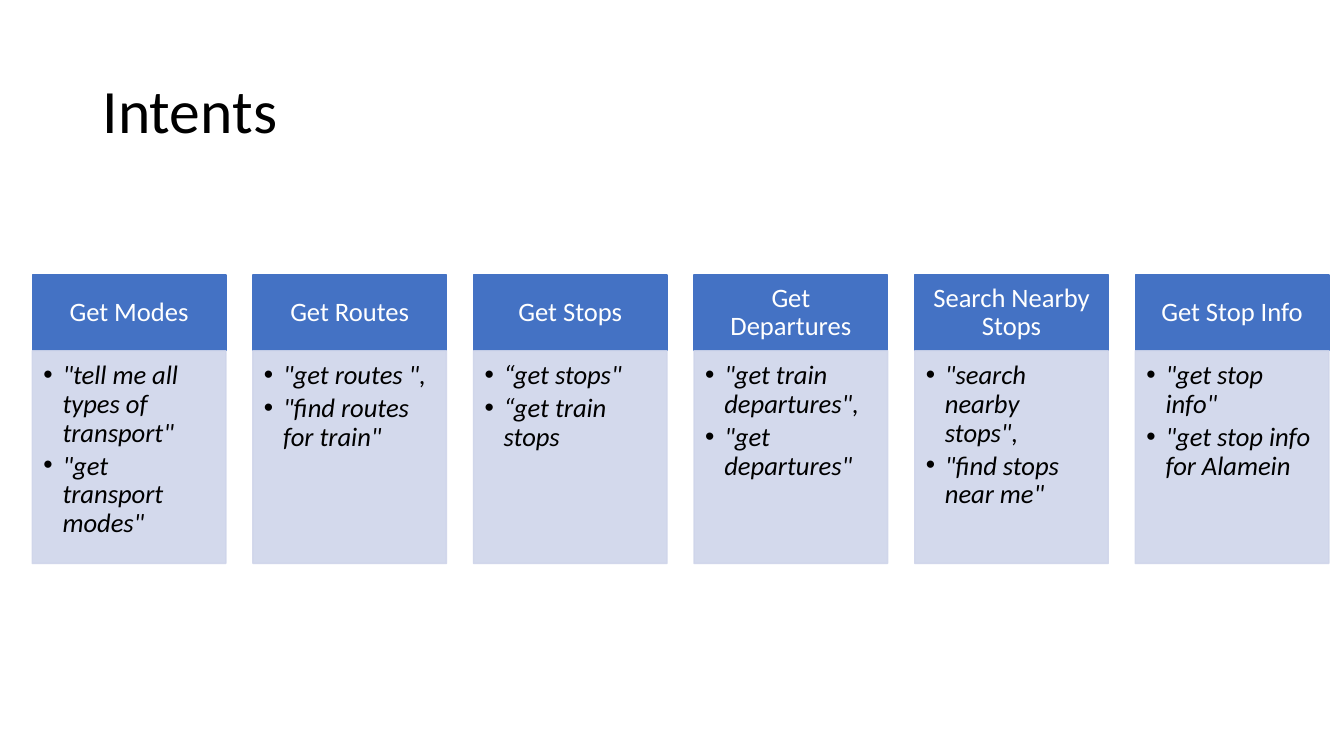
from lxml import etree
from pptx import Presentation
from pptx.dml.color import RGBColor
from pptx.enum.shapes import MSO_SHAPE
from pptx.enum.text import MSO_ANCHOR, PP_ALIGN
from pptx.oxml.ns import qn
from pptx.util import Inches, Pt

RECT = MSO_SHAPE.RECTANGLE
TOP, MIDDLE = MSO_ANCHOR.TOP, MSO_ANCHOR.MIDDLE
LEFT, CENTER = PP_ALIGN.LEFT, PP_ALIGN.CENTER

BLUE = RGBColor(0x44, 0x72, 0xC4)
PALE = RGBColor(0xCF, 0xD5, 0xEA)
WHITE = RGBColor(0xFF, 0xFF, 0xFF)
BLACK = RGBColor(0x00, 0x00, 0x00)

TITLE = dict(size=Pt(44), name="Calibri", italic=False)
HEADING = dict(size=Pt(19), name="Calibri", italic=False)
PHRASE = dict(size=Pt(19), name="Calibri", italic=True)

INTENTS = [
    ("Get Modes", ['"tell me all types of transport"', '"get transport modes"']),
    ("Get Routes", ['"get routes ",', '"find routes for train"']),
    ("Get Stops", ['“get stops"', '“get train stops']),
    ("Get Departures", ['"get train departures",', '"get departures"']),
    ("Search Nearby Stops", ['"search nearby stops",', '"find stops near me"']),
    ("Get Stop Info", ['"get stop info"', '"get stop info for Alamein']),
]


def write(s, lines, font, color, anchor, align, insets, after=0):
    tf = s.text_frame
    tf.word_wrap = True
    tf.vertical_anchor = anchor
    sides = ("margin_left", "margin_top", "margin_right", "margin_bottom")
    for side, inset in zip(sides, insets):
        setattr(tf, side, Inches(inset))
    for i, line in enumerate(lines):
        p = tf.add_paragraph() if i else tf.paragraphs[0]
        p.alignment = align
        p.line_spacing = 0.9
        p.space_after = Pt(after)
        r = p.add_run()
        r.text = line
        for key, value in font.items():
            setattr(r.font, key, value)
        r.font.color.rgb = color


def add_bullets(s, indent):
    for p in s.text_frame.paragraphs:
        pPr = p._p.get_or_add_pPr()
        pPr.set("marL", str(Inches(indent)))
        pPr.set("indent", str(-Inches(indent)))
        etree.SubElement(pPr, qn("a:buFont")).set("typeface", "Arial")
        etree.SubElement(pPr, qn("a:buChar")).set("char", "•")


def add_box(slide, x, y, w, h, color, opacity=100):
    s = slide.shapes.add_shape(RECT, Inches(x), Inches(y), Inches(w), Inches(h))
    s.shadow.inherit = False
    s.fill.solid()
    s.fill.fore_color.rgb = color
    s.line.color.rgb = color
    s.line.width = Pt(1)
    if opacity < 100:
        for clr in s._element.spPr.iter(qn("a:srgbClr")):
            etree.SubElement(clr, qn("a:alpha")).set("val", str(opacity * 1000))
    return s


def add_title(slide, x, y, w, h, text):
    s = slide.shapes.add_textbox(Inches(x), Inches(y), Inches(w), Inches(h))
    write(s, [text], TITLE, BLACK, MIDDLE, LEFT, (0.1, 0.05, 0.1, 0.05))


def add_intent(slide, x, y, w, h, name, phrases):
    head_h = 0.75
    head = add_box(slide, x, y, w, head_h, BLUE)
    write(head, [name], HEADING, WHITE, MIDDLE, CENTER, (0.15, 0.08, 0.15, 0.08))
    body = add_box(slide, x, y + head_h, w, h - head_h, PALE, 90)
    write(body, phrases, PHRASE, BLACK, TOP, LEFT, (0.11, 0.11, 0.15, 0.17), 2.85)
    add_bullets(body, 0.19)


def add_intents(slide, x, y, w, h, intents):
    column_w = 1.92
    pitch = (w - column_w) / (len(intents) - 1)
    for i, (name, phrases) in enumerate(intents):
        add_intent(slide, x + i * pitch, y, column_w, h, name, phrases)


def main():
    prs = Presentation()
    prs.slide_width, prs.slide_height = Inches(13.33), Inches(7.5)
    slide = prs.slides.add_slide(prs.slide_layouts[6])
    add_title(slide, 0.92, 0.4, 11.5, 1.45, "Intents")
    add_intents(slide, 0.32, 2.73, 12.86, 2.86, INTENTS)
    prs.save("out.pptx")


if __name__ == "__main__":
    main()
